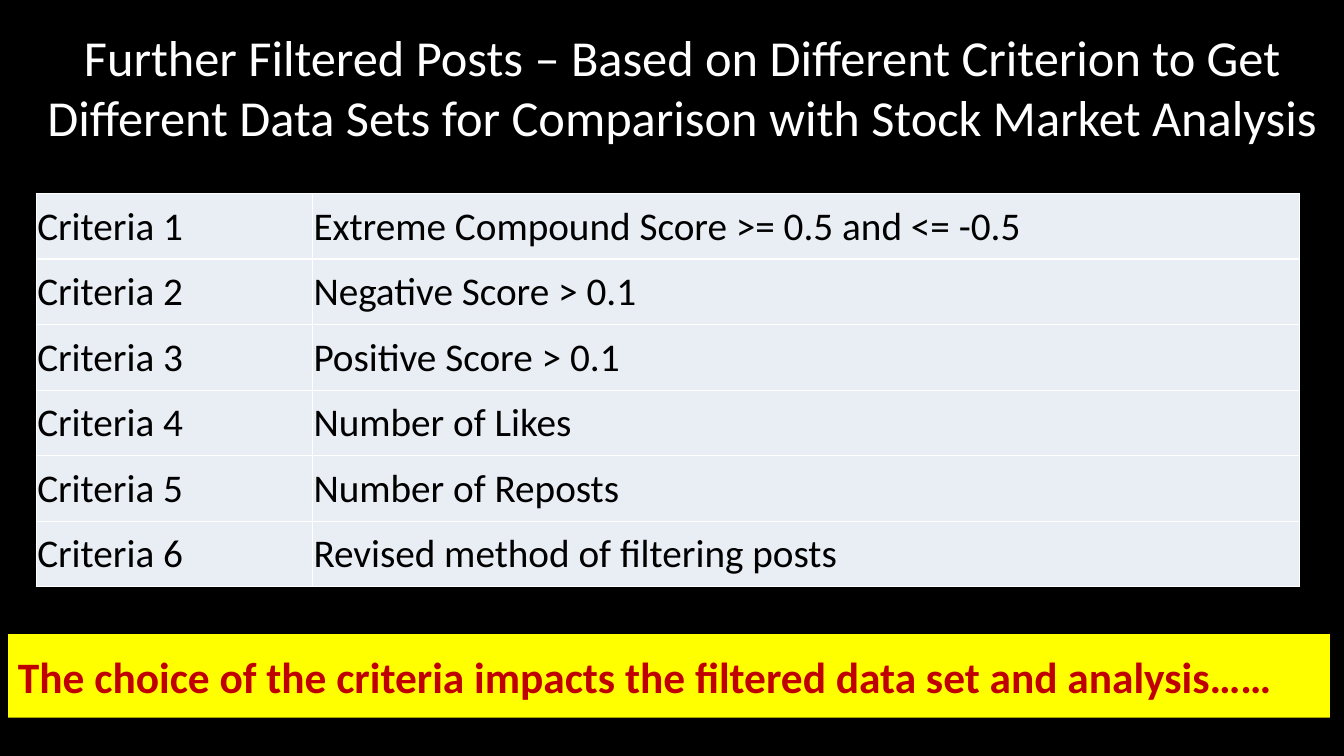
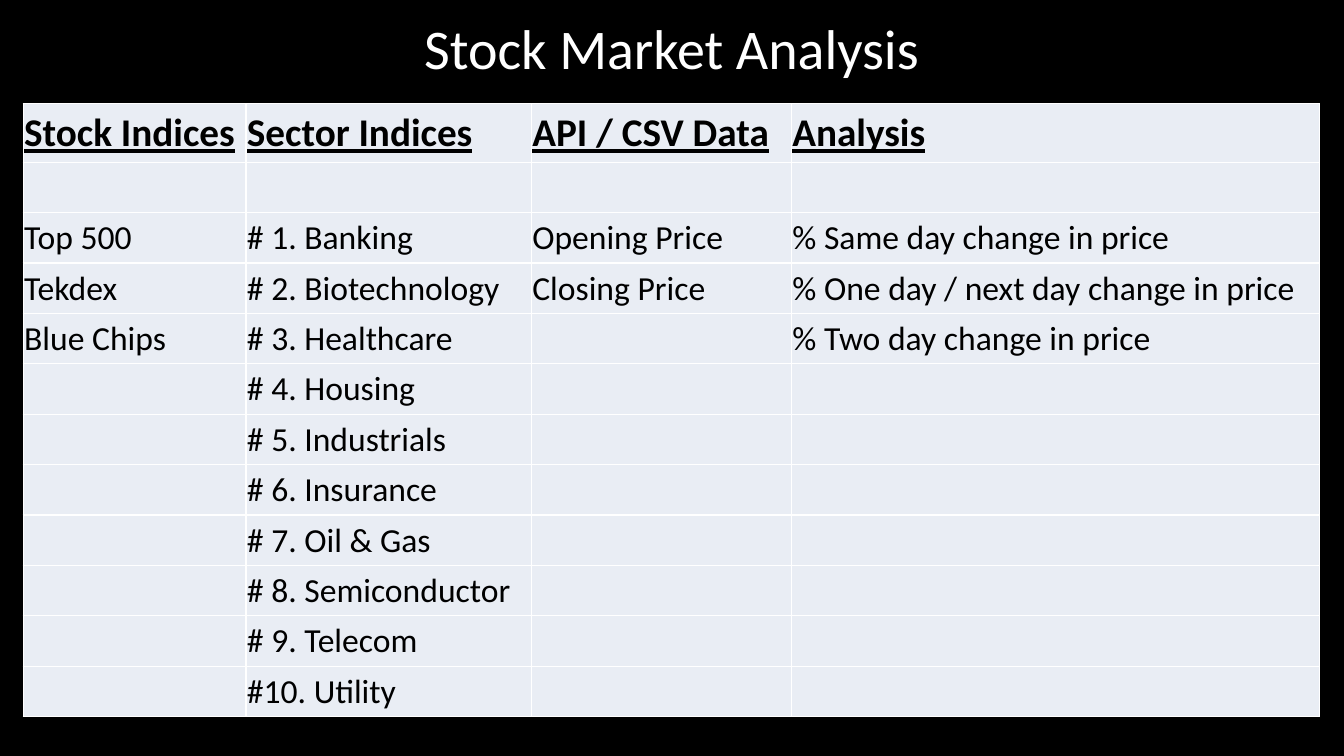
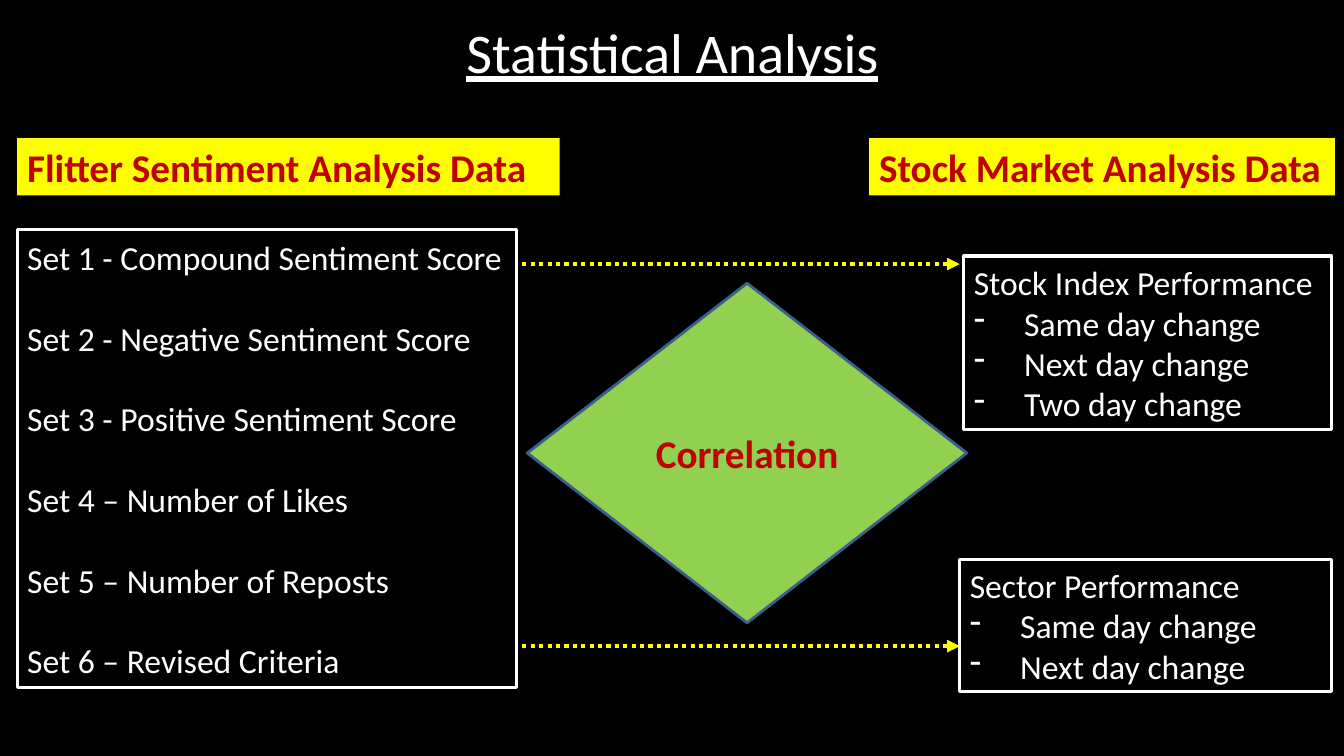
from dataclasses import dataclass

from pptx import Presentation
from pptx import util as u
from pptx.dml.color import RGBColor
from pptx.enum import dml, shapes, text
from pptx.oxml import parse_xml
from pptx.oxml.ns import nsdecls

SHAPE = shapes.MSO_SHAPE
LEFT, MID = text.PP_ALIGN.LEFT, text.PP_ALIGN.CENTER


@dataclass(frozen=True)
class Theme:
    font: str = "Calibri"
    black: str = "000000"
    white: str = "FFFFFF"
    yellow: str = "FFFF00"
    red: str = "C00000"
    green: str = "92D050"
    blue: str = "3A5F8C"
    cell: str = "E9EDF4"
    title: int = 40
    long: int = 36
    banner: int = 31
    head: int = 28
    body: int = 24


T = Theme()


def rgb(code):
    return RGBColor.from_string(code)


def paint(fill, code):
    fill.solid()
    fill.fore_color.rgb = rgb(code)


def node(xml):
    """Build a DrawingML element; the tag must be followed by a space."""
    return parse_xml(xml.replace(" ", f" {nsdecls('a')} ", 1))


def style(frame, size, color, bold=False, line=False, align=LEFT):
    for para in frame.paragraphs:
        para.alignment = align
        for run in para.runs:
            font = run.font
            font.name, font.size = T.font, u.Pt(size)
            font.bold, font.underline = bold, line
            font.color.rgb = rgb(color)


def title(slide, box, words, size=T.title, line=False):
    frame = slide.shapes.add_textbox(*map(u.Inches, box)).text_frame
    frame.word_wrap = True
    frame.vertical_anchor = text.MSO_ANCHOR.MIDDLE
    frame.text = words
    style(frame, size, T.white, line=line, align=MID)


def block(slide, box, words, kind=SHAPE.RECTANGLE, fill=None, edge=None, width=2.25):
    """Add a shape holding text; leave out fill or edge to have none."""
    shape = slide.shapes.add_shape(kind, *map(u.Inches, box))
    shape.shadow.inherit = False
    if fill:
        paint(shape.fill, fill)
    else:
        shape.fill.background()
    if edge:
        shape.line.color.rgb = rgb(edge)
        shape.line.width = u.Pt(width)
    else:
        shape.line.fill.background()
    frame = shape.text_frame
    frame.word_wrap = True
    frame.text = words
    return frame


def label(slide, box, words, size=T.head):
    style(block(slide, box, words, fill=T.yellow), size, T.red, bold=True)


def panel(slide, box, items, gap=0):
    frame = block(slide, box, "\n".join(items), edge=T.white)
    for para in frame.paragraphs[1:]:
        para.space_before = u.Pt(gap)
    style(frame, T.body, T.white)
    return frame


def dashes(slide, box, head, items):
    """Add a panel whose items below the heading have dash bullets."""
    frame = panel(slide, box, [head, *items])
    for para in frame.paragraphs[1:]:
        props = para._p.get_or_add_pPr()
        props.set("marL", str(u.Inches(0.5)))
        props.set("indent", str(u.Inches(-0.5)))
        props.append(node("<a:buFontTx />"))
        props.append(node('<a:buChar char="-"/>'))


def arrow(slide, left, right, top):
    ends = map(u.Inches, (left, top, right, top))
    link = slide.shapes.add_connector(shapes.MSO_CONNECTOR.STRAIGHT, *ends)
    link.line.color.rgb = rgb(T.yellow)
    link.line.width = u.Pt(3)
    link.line.dash_style = dml.MSO_LINE.ROUND_DOT
    link.line._get_or_add_ln().append(node('<a:tailEnd type="triangle"/>'))
    link._element.spPr.append(node("<a:effectLst />"))


def border(cell):
    props = cell._tc.get_or_add_tcPr()
    for spot, side in enumerate("LRTB"):
        props.insert(spot, node(
            f'<a:ln{side} w="{u.Pt(1)}"><a:solidFill>'
            f'<a:srgbClr val="{T.white}"/></a:solidFill></a:ln{side}>'))


def grid(slide, spot, cols, highs, rows, head=False):
    """Add a table; with head, the first row is underlined and the rest smaller."""
    size = (sum(cols), sum(highs))
    frame = slide.shapes.add_table(len(rows), len(cols), *map(u.Inches, (*spot, *size)))
    table = frame.table
    table.first_row = table.horz_banding = False
    for col, wide in zip(table.columns, cols):
        col.width = u.Inches(wide)
    for num, (row, high, words) in enumerate(zip(table.rows, highs, rows)):
        row.height = u.Inches(high)
        top = head and num == 0
        for cell, word in zip(row.cells, words):
            cell.margin_left = cell.margin_right = cell.margin_top = u.Inches(0.01)
            cell.margin_bottom = 0
            cell.vertical_anchor = text.MSO_ANCHOR.MIDDLE
            paint(cell.fill, T.cell)
            border(cell)
            cell.text = word
            style(cell.text_frame, T.body if head and not top else T.head,
                  T.black, bold=top, line=top)


def criteria(slide):
    title(slide, (0.36, 0.35, 12.82, 1.01),
          "Further Filtered Posts – Based on Different Criterion to Get "
          "Different Data Sets for Comparison with Stock Market Analysis", T.long)
    label(slide, (0.08, 6.29, 13.11, 0.83),
          "The choice of the criteria impacts the filtered data set and analysis……",
          T.banner)
    rules = ["Extreme Compound Score >= 0.5 and <= -0.5", "Negative Score > 0.1",
             "Positive Score > 0.1", "Number of Likes", "Number of Reposts",
             "Revised method of filtering posts"]
    rows = [(f"Criteria {num}", rule) for num, rule in enumerate(rules, 1)]
    grid(slide, (0.36, 1.92), (2.74, 9.79), [0.65] * len(rows), rows)


def market(slide):
    title(slide, (0.65, 0.05, 12.02, 0.83), "Stock Market Analysis")
    names = ["Banking", "Biotechnology", "Healthcare", "Housing", "Industrials",
             "Insurance", "Oil & Gas", "Semiconductor", "Telecom", "Utility"]
    cols = [
        ["Top 500", "Tekdex", "Blue Chips"],
        [f"#{num:2}. {name}" for num, name in enumerate(names, 1)],
        ["Opening Price", "Closing Price"],
        ["% Same day change in price", "% One day / next day change in price",
         "% Two day change in price"],
    ]
    rows = [["Stock Indices", "Sector Indices", "API / CSV Data", "Analysis"],
            [""] * len(cols)]
    for num in range(len(names)):
        rows.append([col[num] if num < len(col) else "" for col in cols])
    highs = [0.58] + [0.5] * (len(rows) - 1)
    grid(slide, (0.23, 1.03), (2.21, 2.83, 2.58, 5.24), highs, rows, head=True)


def stats(slide):
    title(slide, (0.67, 0.07, 12, 0.87), "Statistical Analysis", line=True)
    panel(slide, (0.17, 2.28, 4.95, 4.54),
          ["Set 1 - Compound Sentiment Score", "Set 2 - Negative Sentiment Score",
           "Set 3 - Positive Sentiment Score", "Set 4 – Number of Likes",
           "Set 5 – Number of Reposts", "Set 6 – Revised Criteria"], gap=28.8)
    spans = ["Same day change", "Next day change", "Two day change"]
    dashes(slide, (9.56, 2.54, 3.65, 1.72), "Stock Index Performance", spans)
    dashes(slide, (9.52, 5.55, 3.69, 1.31), "Sector Performance", spans[:2])
    label(slide, (0.17, 1.37, 5.38, 0.57), "Flitter Sentiment Analysis Data")
    label(slide, (8.62, 1.37, 4.62, 0.57), "Stock Market Analysis Data")
    for top in (2.62, 6.41):
        arrow(slide, 5.18, 9.52, top)
    frame = block(slide, (5.23, 2.81, 4.36, 3.37), "Correlation",
                  SHAPE.DIAMOND, T.green, T.blue, 2)
    style(frame, T.head, T.red, bold=True, align=MID)


def main():
    deck = Presentation()
    deck.slide_width, deck.slide_height = u.Inches(13.33), u.Inches(7.5)
    paint(deck.slide_master.background.fill, T.black)
    for build in (criteria, market, stats):
        build(deck.slides.add_slide(deck.slide_layouts[6]))
    deck.save("out.pptx")


if __name__ == "__main__":
    main()
